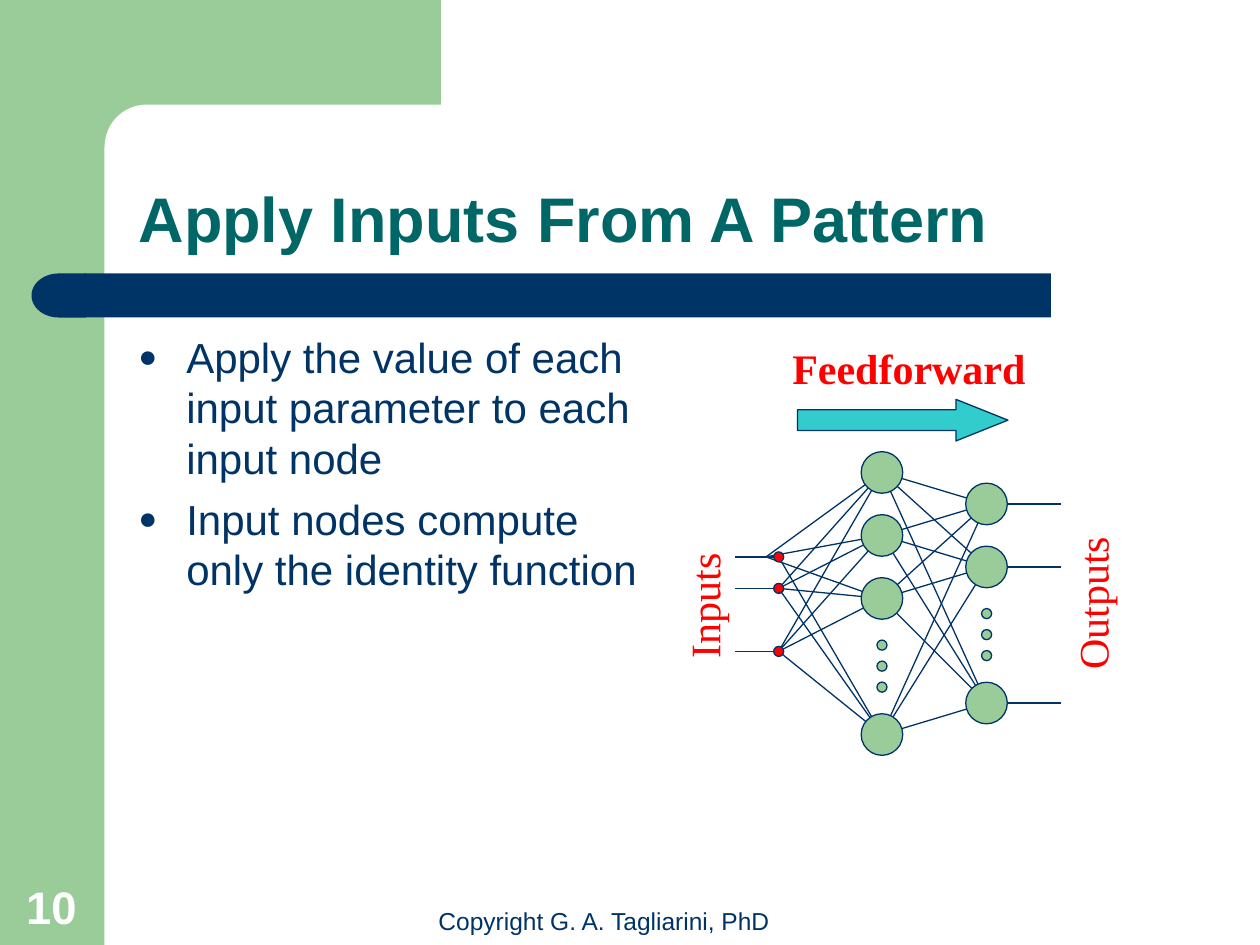
"""Build the slide on applying inputs from a pattern to a feedforward network."""
from itertools import product

from lxml.etree import SubElement
from pptx import Presentation
from pptx.dml.color import RGBColor
from pptx.enum.shapes import MSO_CONNECTOR, MSO_SHAPE as SHAPE
from pptx.enum.text import MSO_ANCHOR as ANCHOR, MSO_AUTO_SIZE, PP_ALIGN as ALIGN
from pptx.oxml.ns import qn
from pptx.util import Inches, Pt

COLORS = {"green": "99CC99", "navy": "003366", "teal": "006666", "red": "FF0000",
          "cyan": "33CCCC", "white": "FFFFFF"}
SANS, SERIF = "Arial", "Times New Roman"


def rgb(name):
    return RGBColor.from_string(COLORS[name])


def write(p, text, size=24, color="navy", font=SANS, bold=False, align=ALIGN.LEFT):
    p.alignment = align
    r = p.add_run()
    r.text = text
    r.font.size, r.font.name, r.font.bold = Pt(size), font, bold
    r.font.color.rgb = rgb(color)


class Deck:
    def __init__(self, line_width=0.75, line_color="navy"):
        self.line_width, self.line_color = line_width, line_color
        self.prs = Presentation()
        self.prs.slide_width, self.prs.slide_height = Inches(10), Inches(7.5)
        self.s = self.prs.slides.add_slide(self.prs.slide_layouts[5])

    def stroke(self, line):
        line.color.rgb = rgb(self.line_color)
        line.width = Pt(self.line_width)

    def shape(self, kind, box, fill, outlined=False, adjust=(), rotation=0):
        sp = self.s.shapes.add_shape(kind, *map(Inches, box))
        sp.shadow.inherit = False
        sp.fill.solid()
        sp.fill.fore_color.rgb = rgb(fill)
        sp.rotation = rotation
        for i, value in enumerate(adjust):
            sp.adjustments[i] = value
        if outlined:
            self.stroke(sp.line)
        else:
            sp.line.fill.background()

    def dot(self, x, y, size, fill="green"):
        self.shape(SHAPE.OVAL, (x - size / 2, y - size / 2, size, size), fill, True)

    def line(self, x1, y1, x2, y2):
        c = self.s.shapes.add_connector(MSO_CONNECTOR.STRAIGHT,
                                        *map(Inches, (x1, y1, x2, y2)))
        self.stroke(c.line)
        SubElement(c.element.spPr, qn("a:effectLst"))

    def text(self, box, text, anchor=ANCHOR.TOP, rotation=0, wrap=True, **fmt):
        sp = self.s.shapes.add_textbox(*map(Inches, box))
        sp.rotation = rotation
        tf = sp.text_frame
        tf.word_wrap, tf.vertical_anchor = wrap, anchor
        write(tf.paragraphs[0], text, **fmt)

    def title(self, box, text, **fmt):
        sp = self.s.shapes.title
        sp.left, sp.top, sp.width, sp.height = map(Inches, box)
        tf = sp.text_frame
        tf.auto_size, tf.vertical_anchor = MSO_AUTO_SIZE.NONE, ANCHOR.BOTTOM
        tf.paragraphs[0].line_spacing = 0.9
        write(tf.paragraphs[0], text, **fmt)
        sp.element.getparent().append(sp.element)

    def bullets(self, box, items, indent=0.38):
        tf = self.s.shapes.add_textbox(*map(Inches, box)).text_frame
        tf.word_wrap = True
        for i, item in enumerate(items):
            p = tf.add_paragraph() if i else tf.paragraphs[0]
            p.space_before = Pt(6)
            write(p, item)
            pPr = p._p.get_or_add_pPr()
            pPr.set("marL", str(Inches(indent)))
            pPr.set("indent", str(-Inches(indent)))
            color = SubElement(pPr, qn("a:buClr"))
            SubElement(color, qn("a:srgbClr"), val=COLORS["navy"])
            SubElement(pPr, qn("a:buSzPct"), val="75000")
            SubElement(pPr, qn("a:buFont"), typeface=SANS)
            SubElement(pPr, qn("a:buChar"), char="●")

    def network(self):
        input_x, hidden_x, output_x = 6.18, 7, 7.83
        inputs, hidden, outputs = (4.42, 4.67, 5.17), (3.75, 4.25, 4.75, 5.83), (4, 4.5, 5.58)
        for y in inputs:
            self.line(input_x, y, 5.83, y)
        for a, b in product(inputs, hidden):
            early = a == inputs[0] and b != hidden[-1]
            self.line(6.08 if early else input_x, a, hidden_x, b)
        for a, b in product(hidden, outputs):
            self.line(hidden_x, a, output_x, b)
        for y in outputs:
            self.line(output_x, y, 8.42, y)
        for x, layer, first_dot in ((hidden_x, hidden, 5.12), (output_x, outputs, 4.87)):
            for y in layer:
                self.dot(x, y, 0.33)
            for i in range(3):
                self.dot(x, first_dot + i / 6, 0.08)
        for y in inputs:
            self.dot(input_x, y, 0.08, "red")


def main():
    deck = Deck()
    deck.shape(SHAPE.RECTANGLE, (0, 0, 0.83, 7.5), "green")
    deck.shape(SHAPE.RECTANGLE, (0.75, 0, 2.75, 1.17), "green")
    deck.shape(SHAPE.ROUNDED_RECTANGLE, (0.83, 0.83, 5.58, 0.67), "white", adjust=[0.5])
    deck.shape(SHAPE.RECTANGLE, (0.67, 2.17, 7.67, 0.35), "navy")
    deck.shape(SHAPE.FLOWCHART_DELAY, (0.25, 2.17, 0.43, 0.35), "navy", rotation=180)
    deck.text((3.21, 7.13, 3.17, 0.34), "Copyright G. A. Tagliarini, PhD",
              anchor=ANCHOR.BOTTOM, size=14, align=ALIGN.CENTER)
    deck.text((0.11, 6.92, 0.64, 0.54), "10", anchor=ANCHOR.BOTTOM,
              size=26, color="white", bold=True)
    deck.title((1, 0.83, 8.75, 1.25), "Apply Inputs From A Pattern",
               size=36, color="teal", bold=True)
    deck.bullets((1, 2.58, 4.29, 4.08),
                 ["Apply the value of each input parameter to each input node",
                  "Input nodes compute only the identity function"])
    deck.network()
    label = {"color": "red", "font": SERIF}
    deck.text((6.19, 2.67, 2.06, 0.5), "Feedforward", bold=True, **label)
    deck.text((5.02, 4.51, 1.13, 0.5), "Inputs", rotation=270, **label)
    deck.text((7.99, 4.49, 1.35, 0.5), "Outputs", rotation=270, **label)
    deck.shape(SHAPE.RIGHT_ARROW, (6.33, 3.17, 1.67, 0.33), "cyan", True, [0.5, 1.25])
    deck.prs.save("out.pptx")


if __name__ == "__main__":
    main()
